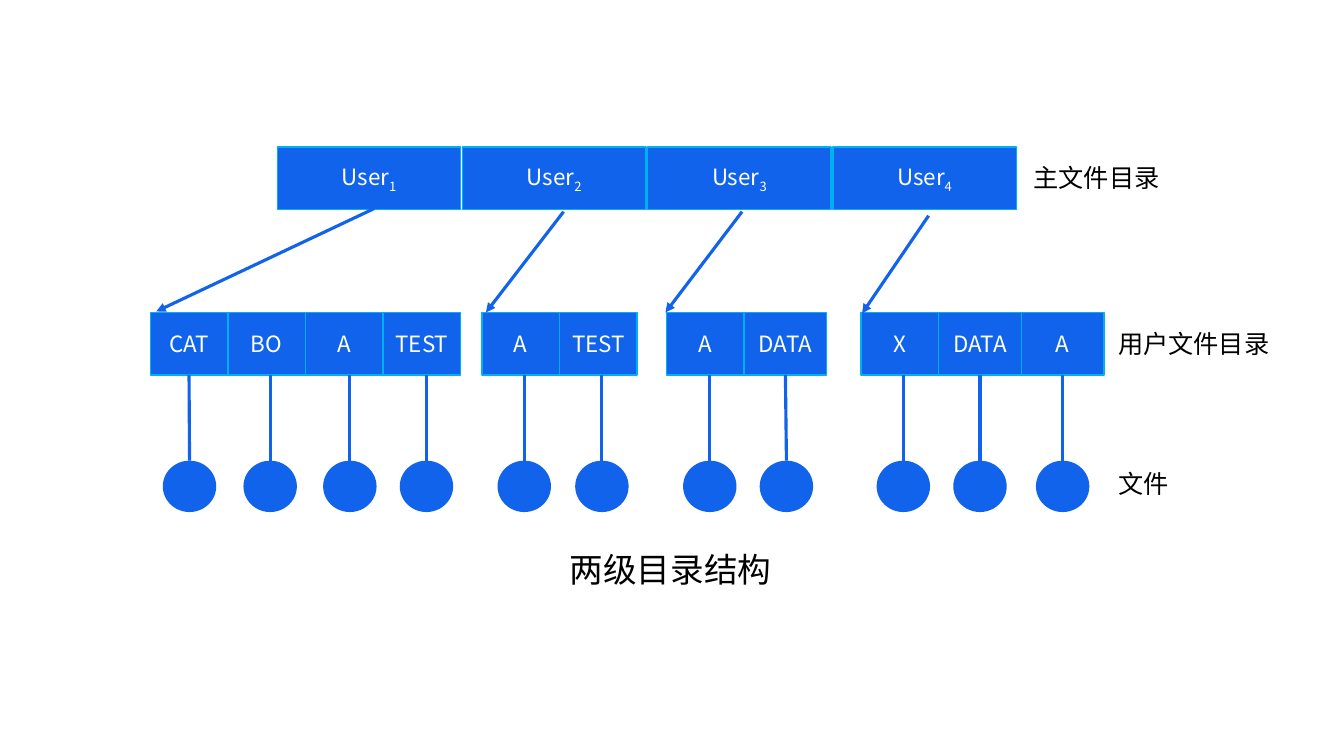
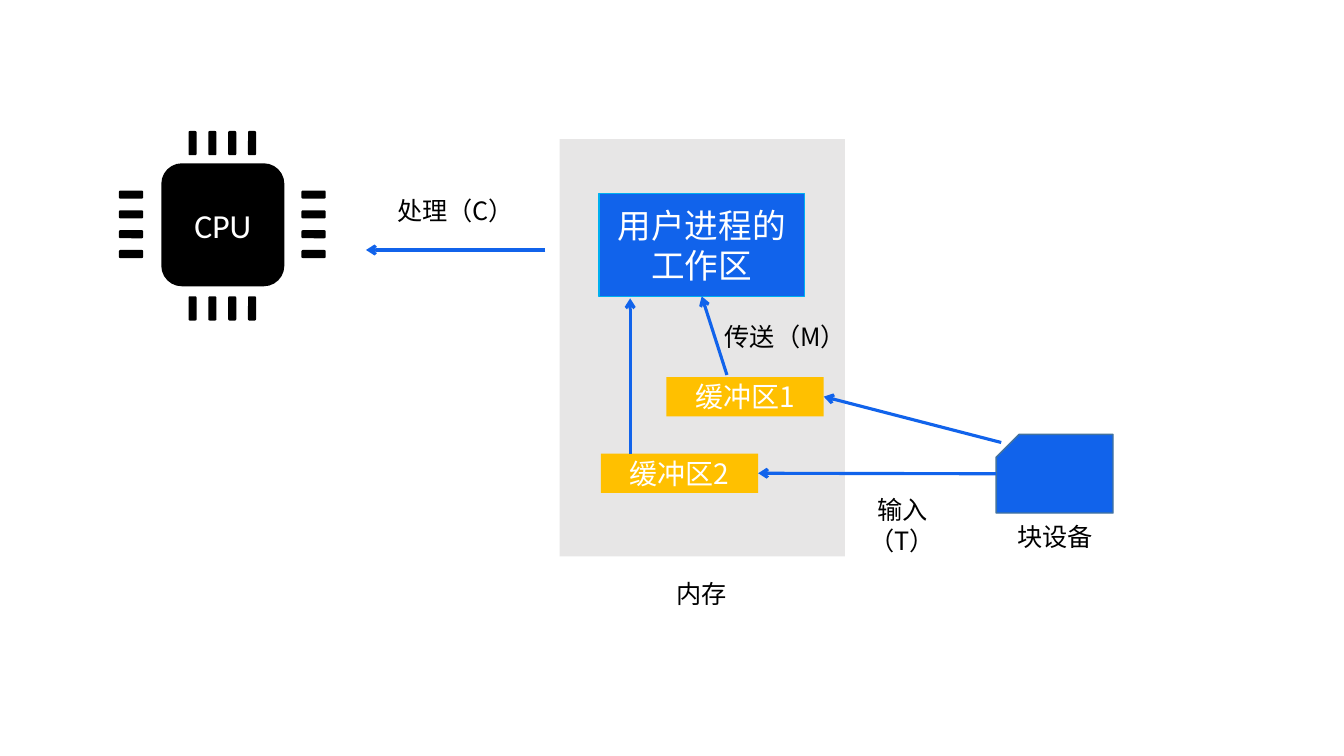
from dataclasses import dataclass

from lxml import etree
from pptx import Presentation
from pptx.dml.color import RGBColor
from pptx.enum.shapes import MSO_CONNECTOR, MSO_SHAPE
from pptx.enum.text import MSO_ANCHOR, MSO_AUTO_SIZE, PP_ALIGN
from pptx.oxml.ns import qn
from pptx.util import Inches, Pt


@dataclass(frozen=True)
class Theme:
    blue: str = "1163EB"
    cyan: str = "00B0F0"
    steel: str = "43739E"
    amber: str = "FFC000"
    grey: str = "E7E6E6"
    black: str = "000000"
    white: str = "FFFFFF"
    font: str = "Noto Sans CJK SC"
    latin: str = "Calibri"
    cell: int = 16
    label: int = 18
    buffer: int = 20
    title: int = 24
    outline: float = 1
    stroke: float = 2.25


T = Theme()
TOP, LEFT, BOTTOM, RIGHT = range(4)

# Directory tree: left edge, (name, width) of each cell, file centres
CELL_H = 0.62
MASTER_TOP, USER_TOP, FILE_TOP = 1.46, 3.1, 4.57
FILE_W, FILE_H = 0.53, 0.51
USER_DIRS = [
    (1.49, [("CAT", 0.77), ("BO", 0.77), ("A", 0.77), ("TEST", 0.77)],
     [1.88, 2.68, 3.47, 4.23]),
    (4.78, [("A", 0.77), ("TEST", 0.77)], [5.2, 5.97]),
    (6.61, [("A", 0.77), ("DATA", 0.82)], [7.04, 7.8]),
    (8.54, [("X", 0.77), ("DATA", 0.82), ("A", 0.82)], [8.96, 9.72, 10.54]),
]
USER_ARROWS = [
    ((3.71, 2.07), (1.55, 3.09)),
    ((5.59, 2.1), (4.82, 3.1)),
    ((7.36, 2.1), (6.6, 3.1)),
    ((9.21, 2.14), (8.55, 3.11)),
]


def spread(first, last, n):
    """Return n evenly spaced positions from first to last."""
    return [first + (last - first) * i / (n - 1) for i in range(n)]


def set_values(obj, values):
    for name, value in values.items():
        setattr(obj, name, value)


def write(tf, text, size, color, font=T.font, sub=""):
    """Fill a text frame with one centred line and an optional subscript."""
    p = tf.paragraphs[0]
    p.alignment = PP_ALIGN.CENTER
    for part in filter(None, (text, sub)):
        r = p.add_run()
        r.text = part
        set_values(r.font, {"size": Pt(size), "name": font})
        r.font.color.rgb = RGBColor.from_string(color)
        rpr = r.font._element
        etree.SubElement(rpr, qn("a:ea")).set("typeface", T.font)
        if part is sub:
            rpr.set("baseline", "-25000")


def add_block(s, kind, box, fill, line=None):
    sp = s.shapes.add_shape(kind, *map(Inches, box))
    sp.shadow.inherit = False
    sp.fill.solid()
    sp.fill.fore_color.rgb = RGBColor.from_string(fill)
    if line:
        sp.line.color.rgb = RGBColor.from_string(line)
        sp.line.width = Pt(T.outline)
    else:
        sp.line.fill.background()
    return sp


def add_box(s, box, text, size, fill=T.blue, line=None,
            kind=MSO_SHAPE.RECTANGLE, **style):
    sp = add_block(s, kind, box, fill, line)
    set_values(sp.text_frame, {"word_wrap": True,
                               "vertical_anchor": MSO_ANCHOR.MIDDLE})
    write(sp.text_frame, text, size, T.white, **style)
    return sp


def add_label(s, box, text, size=T.label):
    tf = s.shapes.add_textbox(*map(Inches, box)).text_frame
    set_values(tf, {"word_wrap": False,
                    "auto_size": MSO_AUTO_SIZE.SHAPE_TO_FIT_TEXT})
    write(tf, text, size, T.black)


def add_line(s, start, end, arrow=None, source=None, target=None):
    """Draw a line; source and target are (shape, side) joints."""
    cx = s.shapes.add_connector(MSO_CONNECTOR.STRAIGHT,
                                *map(Inches, (*start, *end)))
    cx.line.color.rgb = RGBColor.from_string(T.blue)
    cx.line.width = Pt(T.stroke)
    if arrow:
        ln = cx.line._get_or_add_ln()
        etree.SubElement(ln, qn("a:tailEnd")).set("type", arrow)
    etree.SubElement(cx.element.spPr, qn("a:effectLst"))
    if source:
        cx.begin_connect(*source)
    if target:
        cx.end_connect(*target)


def add_file(s, cell, x):
    """Hang a file circle below its directory cell."""
    bottom = USER_TOP + CELL_H
    dot = add_block(s, MSO_SHAPE.OVAL,
                    (x - FILE_W / 2, FILE_TOP, FILE_W, FILE_H), T.blue)
    middle = cell.left + cell.width / 2
    centred = abs(Inches(x) - middle) < Inches(0.02)
    add_line(s, (x, bottom), (x, FILE_TOP),
             source=(cell, BOTTOM) if centred else None, target=(dot, TOP))


def add_user_dir(s, left, cells, centres):
    for (name, width), x in zip(cells, centres):
        cell = add_box(s, (left, USER_TOP, width, CELL_H), name, T.cell,
                       line=T.cyan)
        add_file(s, cell, x)
        left += width


def add_cpu(s):
    add_box(s, (1.6, 1.62, 1.22, 1.22), "CPU", T.title, T.black,
            kind=MSO_SHAPE.ROUNDED_RECTANGLE, font=T.latin)
    # Four pins on each side
    upright = [(x, y, 0) for y in (1.3, 2.94) for x in spread(1.87, 2.46, 4)]
    flat = [(x, y, 270) for x in (1.26, 3.07) for y in spread(1.81, 2.4, 4)]
    for x, y, turn in upright + flat:
        pin = add_block(s, MSO_SHAPE.ROUNDED_RECTANGLE, (x, y, 0.08, 0.24),
                        T.black)
        pin.rotation = turn


def build_directories(s):
    # Master directory
    for i, x in enumerate(spread(2.75, 8.26, 4), 1):
        add_box(s, (x, MASTER_TOP, 1.82, CELL_H), "User", T.cell,
                line=T.cyan, sub=str(i))
    # User directories with their files
    for user_dir in USER_DIRS:
        add_user_dir(s, *user_dir)
    for start, end in USER_ARROWS:
        add_line(s, start, end, "triangle")
    # Level names and caption
    add_label(s, (10.15, 1.56, 1.45, 0.4), "主文件目录")
    add_label(s, (10.99, 3.21, 1.7, 0.4), "用户文件目录")
    add_label(s, (10.99, 4.6, 0.7, 0.4), "文件")
    add_label(s, (5.55, 5.4, 2.2, 0.5), "两级目录结构", T.title)


def build_buffering(s):
    add_cpu(s)
    # Memory and its areas
    add_block(s, MSO_SHAPE.RECTANGLE, (5.55, 1.38, 2.83, 4.14), T.grey)
    work = add_box(s, (5.94, 1.92, 2.04, 1.02), "用户进程的工作区", T.title,
                   line=T.cyan)
    # Labels lie below the buffers
    add_label(s, (3.83, 1.89, 1.38, 0.4), "处理（C）")
    add_label(s, (7.07, 3.14, 1.44, 0.4), "传送（M）")
    add_label(s, (8.28, 4.86, 1.34, 0.4), "输入（T）")
    add_label(s, (6.61, 5.69, 0.7, 0.4), "内存")
    add_label(s, (9.99, 5.12, 0.95, 0.4), "块设备")
    buffer1, buffer2 = [
        add_box(s, (x, y, 1.56, 0.39), text, T.buffer, T.amber)
        for x, y, text in ((6.61, 3.74, "缓冲区1"), (5.96, 4.5, "缓冲区2"))]
    # Block device, cut at its upper left corner
    device = add_block(s, MSO_SHAPE.SNIP_1_RECTANGLE,
                       (9.88, 4.31, 1.16, 0.78), T.blue, T.steel)
    device.adjustments[0] = 0.29
    device.element.spPr.find(qn("a:xfrm")).set("flipH", "1")
    # Data flow
    for start, end, target in (
            ((5.41, 2.48), (3.63, 2.48), None),
            ((6.25, 4.5), (6.25, 2.96), None),
            ((7.21, 3.72), (6.96, 2.94), (work, BOTTOM)),
            ((9.88, 4.7), (7.53, 4.69), (buffer2, RIGHT)),
            ((9.93, 4.39), (8.18, 3.93), (buffer1, RIGHT))):
        add_line(s, start, end, "arrow", target=target)


def main():
    prs = Presentation()
    set_values(prs, {"slide_width": Inches(13.33),
                     "slide_height": Inches(7.5)})
    for build in (build_directories, build_buffering):
        build(prs.slides.add_slide(prs.slide_layouts[6]))
    prs.save("out.pptx")


if __name__ == "__main__":
    main()
